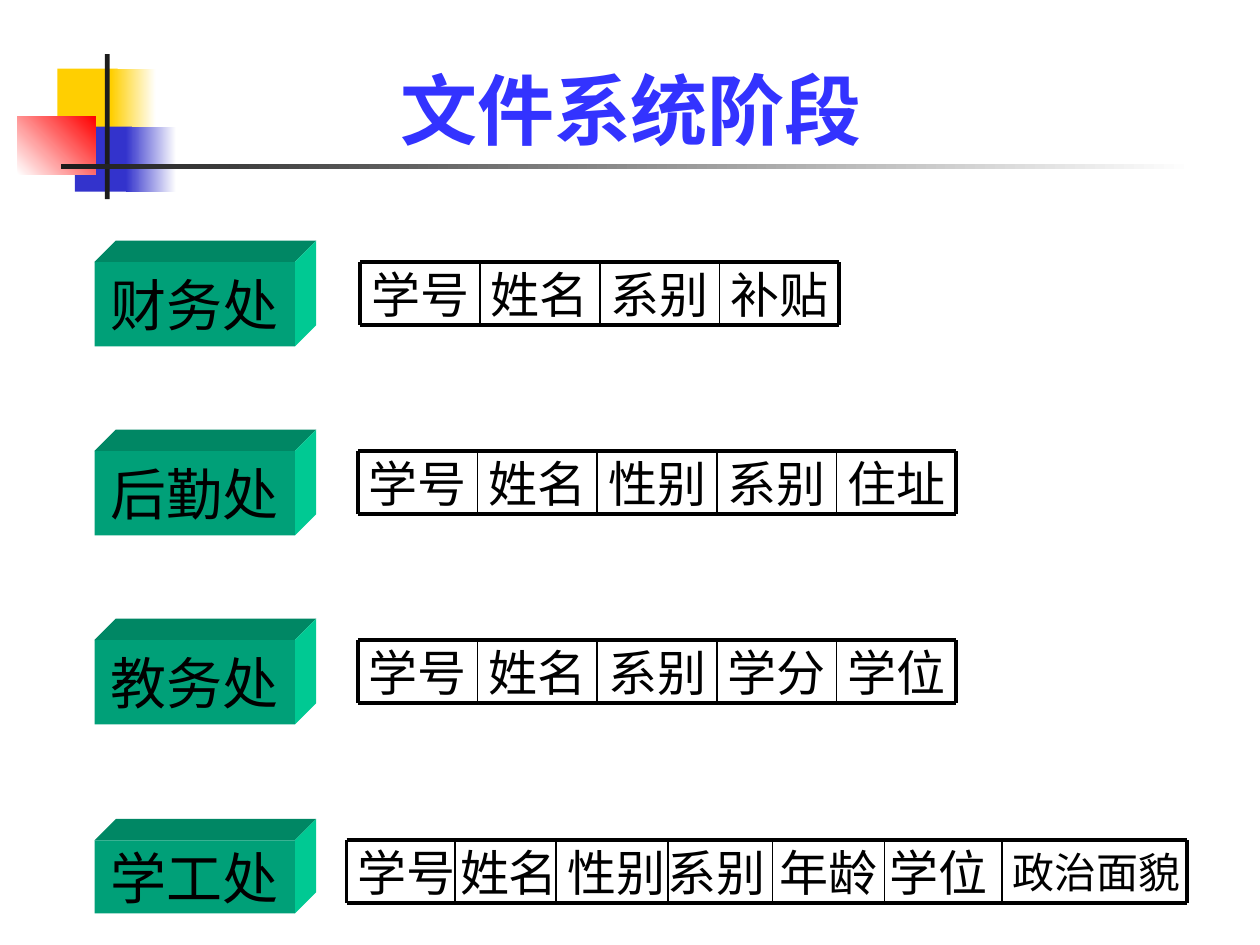
from dataclasses import dataclass

from lxml import etree
from pptx import Presentation
from pptx import util as u
from pptx.dml.color import RGBColor
from pptx.enum import shapes, text
from pptx.oxml.ns import qn


@dataclass(frozen=True)
class Theme:
    """Colours, font and type sizes of the slide."""
    font: str = "Lato"
    title: str = "3333FF"
    ink: str = "000000"
    bar: str = "1C1C1C"
    paper: str = "FFFFFF"
    yellow: str = "FFCF01"
    blue: str = "3333CC"
    red: str = "FF0000"
    front: str = "00A078"
    top: str = "008764"
    side: str = "00C993"
    title_size: int = 44
    office_size: int = 32
    field_size: int = 28
    long_field_size: int = 24
    frame_width: float = 2.25
    divider_width: float = 1


@dataclass(frozen=True)
class Box:
    """A rectangle in inches."""
    left: float
    top: float
    width: float
    height: float

    def share(self, left, top, width, height):
        """Return the box at the given shares of this one."""
        return Box(self.left + left * self.width, self.top + top * self.height,
                   width * self.width, height * self.height)

    def emu(self):
        """Return left, top, width and height as lengths."""
        return [u.Inches(v) for v in (self.left, self.top, self.width, self.height)]


THEME = Theme()
SLIDE = Box(0, 0, 10, 7.5)


def colour(value):
    """Return a colour from its hexadecimal form."""
    return RGBColor.from_string(value)


def write(frame, words, size, ink, bold=False):
    """Write one centred line of text into a frame."""
    frame.text = words
    paragraph = frame.paragraphs[0]
    paragraph.alignment = text.PP_ALIGN.CENTER
    font = paragraph.runs[0].font
    font.name, font.size, font.bold = THEME.font, u.Pt(size), bold
    font.color.rgb = colour(ink)


def finish(shape, fill):
    """Give a shape a plain fill without line or shadow."""
    shape.shadow.inherit = False
    shape.line.fill.background()
    shape.fill.solid()
    shape.fill.fore_color.rgb = colour(fill)
    return shape


def add_rectangle(slide, box, fill, fade_to=None, angle=0):
    """Add a rectangle, plain or fading to a second colour."""
    shape = slide.shapes.add_shape(shapes.MSO_SHAPE.RECTANGLE, *box.emu())
    finish(shape, fill)
    if fade_to:
        shape.fill.gradient()
        shape.fill.gradient_angle = angle
        for stop, value in zip(shape.fill.gradient_stops, (fill, fade_to)):
            stop.color.rgb = colour(value)
            stop.position = 1 if value == fade_to else 0
    return shape


def add_face(slide, points, fill):
    """Add one slanted face of a block."""
    builder = slide.shapes.build_freeform(
        u.Inches(points[0][0]), u.Inches(points[0][1]), scale=1.0)
    builder.add_line_segments([(u.Inches(x), u.Inches(y)) for x, y in points[1:]])
    finish(builder.convert_to_shape(), fill)


def add_line(slide, x1, y1, x2, y2, width):
    """Add a straight line."""
    line = slide.shapes.add_connector(
        shapes.MSO_CONNECTOR.STRAIGHT, *[u.Inches(v) for v in (x1, y1, x2, y2)])
    line.line.color.rgb = colour(THEME.ink)
    line.line.width = u.Pt(width)
    etree.SubElement(line._element.spPr, qn("a:effectLst"))


def add_ornament(slide, box):
    """Place the coloured squares and crossing bars."""
    paper = THEME.paper
    for left, top, width, height, fill, fade_to, angle in (
            (0.25, 0.1, 0.38, 0.45, THEME.yellow, None, 0),
            (0.59, 0.1, 0.28, 0.45, THEME.yellow, paper, 0),
            (0.36, 0.5, 0.36, 0.45, THEME.blue, None, 0),
            (0.68, 0.5, 0.32, 0.45, THEME.blue, paper, 0),
            (0, 0.43, 0.49, 0.4, paper, THEME.red, 45),
            (0.55, 0, 0.03, 1, THEME.bar, None, 0),
            (0.27, 0.76, 7.14, 0.03, THEME.bar, paper, 0)):
        add_rectangle(slide, box.share(left, top, width, height), fill, fade_to, angle)


def add_title(slide, box, words):
    """Place the heading in the title placeholder."""
    title = slide.shapes.title
    title.left, title.top, title.width, title.height = box.emu()
    title.text_frame.vertical_anchor = text.MSO_ANCHOR.BOTTOM
    write(title.text_frame, words, THEME.title_size, THEME.title, bold=True)


def add_office(slide, box, name, depth=0.17):
    """Place a block with the name of an office on its front."""
    left, top = box.left, box.top
    right, bottom = left + box.width, top + box.height
    add_face(slide, [(left, top), (left + depth, top - depth),
                     (right + depth, top - depth), (right, top)], THEME.top)
    add_face(slide, [(right, top), (right + depth, top - depth),
                     (right + depth, bottom - depth), (right, bottom)], THEME.side)
    frame = add_rectangle(slide, box, THEME.front).text_frame
    frame.word_wrap = False
    frame.vertical_anchor = text.MSO_ANCHOR.MIDDLE
    write(frame, name, THEME.office_size, THEME.ink)


def add_record(slide, box, fields, edges, spans):
    """Place a framed row of fields with edges and text spans measured from its left."""
    for field, (start, end) in zip(fields, spans):
        cell = Box(box.left + start, box.top, end - start, box.height)
        frame = slide.shapes.add_textbox(*cell.emu()).text_frame
        frame.margin_left = frame.margin_right = 0
        frame.margin_top = frame.margin_bottom = 0
        frame.word_wrap = True
        frame.vertical_anchor = text.MSO_ANCHOR.MIDDLE
        size = THEME.field_size if len(field) == 2 else THEME.long_field_size
        write(frame, field, size, THEME.ink)
    bottom = box.top + box.height
    for y in (box.top, bottom):
        add_line(slide, box.left, y, box.left + box.width, y, THEME.frame_width)
    for edge in edges:
        outer = edge in (edges[0], edges[-1])
        add_line(slide, box.left + edge, box.top, box.left + edge, bottom,
                 THEME.frame_width if outer else THEME.divider_width)


def add_file_row(slide, top, office, fields, left=2.84, office_height=0.67,
                 edges=None, spans=None):
    """Place an office and the record kept in its file."""
    edges = edges or [0.95 * i for i in range(len(fields) + 1)]
    spans = spans or list(zip(edges, edges[1:]))
    add_record(slide, Box(left, top, edges[-1], 0.5), fields, edges, spans)
    add_office(slide, Box(0.75, top, 1.59, office_height), office)


def main():
    """Build the slide and save it."""
    presentation = Presentation()
    presentation.slide_width, presentation.slide_height = SLIDE.emu()[2:]
    slide = presentation.slides.add_slide(presentation.slide_layouts[5])
    add_ornament(slide, Box(0.14, 0.43, 1.26, 1.15))
    add_title(slide, Box(0.75, 0.42, 8.52, 0.86), "文件系统阶段")
    add_file_row(slide, 2.08, "财务处", ["学号", "姓名", "系别", "补贴"], left=2.86)
    add_file_row(slide, 3.58, "后勤处", ["学号", "姓名", "性别", "系别", "住址"])
    add_file_row(slide, 5.08, "教务处", ["学号", "姓名", "系别", "学分", "学位"])
    add_file_row(
        slide, 6.67, "学工处",
        ["学号", "姓名", "性别", "系别", "年龄", "学位", "政治面貌"],
        left=2.75, office_height=0.58,
        edges=[0, 0.86, 1.66, 2.55, 3.38, 4.27, 5.2, 6.67],
        spans=[(0, 0.95), (0.86, 1.72), (1.73, 2.55), (2.5, 3.37),
               (3.38, 4.27), (4.27, 5.13), (5.2, 6.71)])
    presentation.save("out.pptx")


if __name__ == "__main__":
    main()
